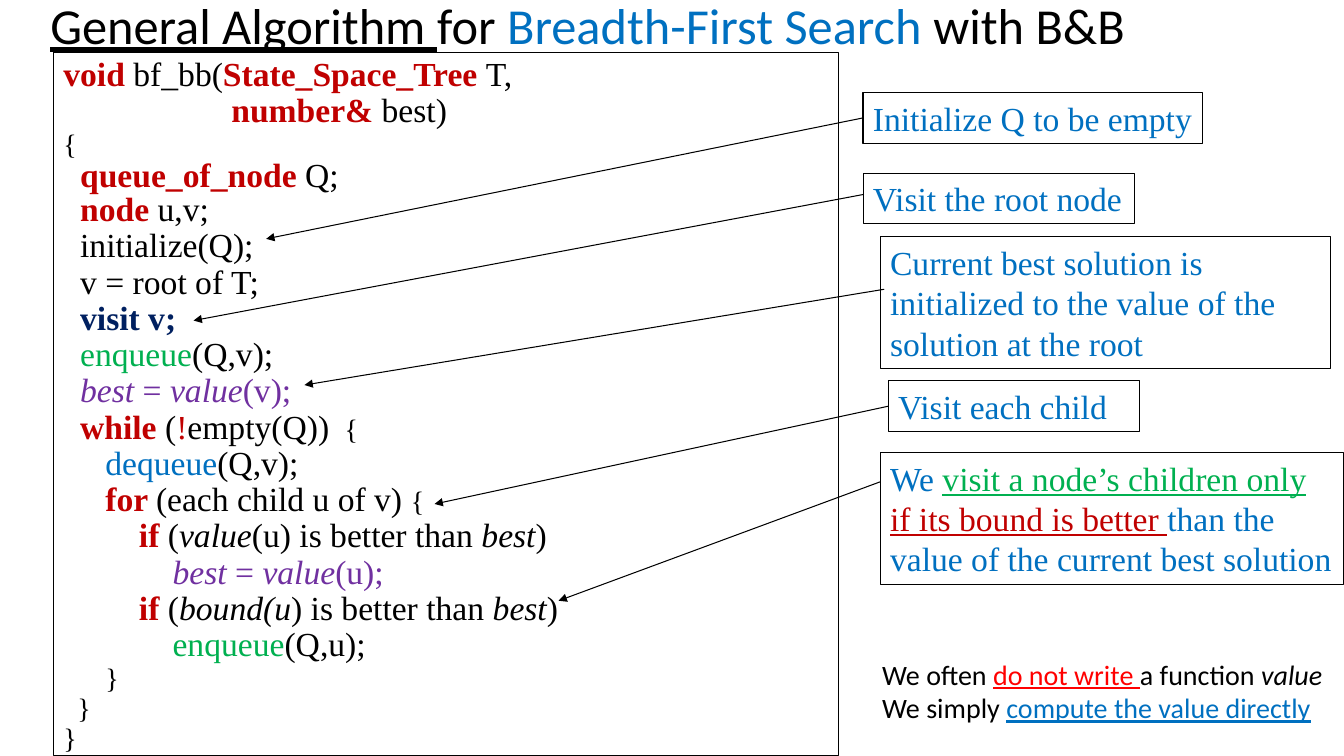
import pptx
import pptx.util
import pptx.dml.color
import pptx.enum.shapes
import pptx.enum.text
import pptx.oxml
from dataclasses import dataclass, field
from lxml import etree

PX = 9144  # EMU per px, 100 px to the inch
SHAPES = pptx.enum.shapes.MSO_SHAPE
AUTO_SIZE = pptx.enum.text.MSO_AUTO_SIZE
ANCHOR = pptx.enum.text.MSO_ANCHOR


@dataclass(frozen=True)
class Theme:
    sans: str = "Calibri"
    serif: str = "Times New Roman"
    title: int = 36
    body: int = 24
    small: int = 20
    line: float = 0.75
    black: str = "000000"
    # style name: colour, then any of b(old), i(talic), u(nderline)
    styles: dict = field(default_factory=lambda: {
        "plain": ("000000", ""), "italic": ("000000", "i"), "under": ("000000", "u"),
        "key": ("C00000", "b"), "red": ("C00000", ""), "red under": ("C00000", "u"),
        "navy": ("002060", "b"), "green": ("00B050", ""), "green under": ("00B050", "u"),
        "blue": ("0070C0", ""), "blue under": ("0070C0", "u"),
        "purple": ("7030A0", ""), "purple italic": ("7030A0", "i"),
        "alert": ("FF0000", "u"),
    })


THEME = Theme()

# Each code line: indent in points, then (text, style) spans
CODE = [
    (0, ("void ", "key"), ("bf_bb(", "plain"), ("State_Space_Tree ", "key"), ("T,", "plain")),
    (120, ("number& ", "key"), ("best)", "plain")),
    (0, ("{", "plain", THEME.small)),
    (12, ("queue_of_node ", "key"), ("Q;", "plain")),
    (12, ("node ", "key"), ("u,v;", "plain")),
    (12, ("initialize(Q);", "plain")),
    (12, ("v = root of T;", "plain")),
    (12, ("visit v;", "navy")),
    (12, ("enqueue", "green"), ("(Q,v);", "plain")),
    (12, ("best", "purple italic"), (" = ", "purple"), ("value", "purple italic"),
     ("(v);", "purple")),
    (12, ("while ", "key"), ("(", "plain"), ("!", "red"), ("empty(Q)) ", "plain"),
     (" {", "plain", THEME.small)),
    (30, ("dequeue", "blue"), ("(Q,v);", "plain")),
    (30, ("for ", "key"), ("(each child u of v) ", "plain"), ("{", "plain", THEME.small)),
    (54, ("if", "key"), (" (", "plain"), ("value", "italic"), ("(u) is better than ", "plain"),
     ("best", "italic"), (")", "plain")),
    (78, ("best", "purple italic"), (" = ", "purple"), ("value", "purple italic"),
     ("(u);", "purple")),
    (54, ("if ", "key"), ("(", "plain"), ("bound(u", "italic"), (") is better than ", "plain"),
     ("best", "italic"), (")", "plain")),
    (78, ("enqueue", "green"), ("(Q,u);", "plain")),
    (30, ("}", "plain", THEME.small)),
    (10, ("}", "plain", THEME.small)),
    (0, ("}", "plain", THEME.small)),
]
TIGHT_LINES = (3, 4)  # the two declarations are set closer

# Each note: box, wraps, arrow start (None joins the middle of the left side), arrow end, spans
NOTES = [
    ((856, 92, 337, 50), False, None, (264, 237), [("Initialize Q to be empty", "blue")]),
    ((856, 172, 269, 50), False, (856, 193), (192, 318), [("Visit the root node", "blue")]),
    ((881, 378, 249, 50), True, None, (431, 500), [("Visit each child", "blue")]),
    ((873, 449, 460, 131), True, (873, 478), (554, 596),
     [("We ", "blue"), ("visit a node’s children only ", "green under"),
      ("if its bound is better ", "red under"),
      ("than the value of the current best solution", "blue")]),
    ((873, 235, 447, 131), True, (877, 287), (302, 382),
     [("Current best solution is initialized to the value of the solution at the root", "blue")]),
]


def scale(*lengths):
    return [length * PX for length in lengths]


def color(code):
    return pptx.dml.color.RGBColor.from_string(code)


def add_spans(para, spans, font, size):
    for text, style, *own_size in spans:
        code, flags = THEME.styles[style]
        span = para.add_run()
        span.text = text
        span.font.name = font
        span.font.size = pptx.util.Pt(own_size[0] if own_size else size)
        span.font.color.rgb = color(code)
        span.font.bold = "b" in flags
        span.font.italic = "i" in flags
        span.font.underline = "u" in flags


def add_paragraphs(frame, lines, font, size):
    """Fill the frame with one left-aligned paragraph per line and return them."""
    paras = []
    for number, spans in enumerate(lines):
        para = frame.add_paragraph() if number else frame.paragraphs[0]
        para.alignment = pptx.enum.text.PP_ALIGN.LEFT
        add_spans(para, spans, font, size)
        paras.append(para)
    return paras


def add_label(page, place, lines, size):
    box = page.shapes.add_textbox(*scale(*place))
    box.text_frame.word_wrap = True
    return box.text_frame, add_paragraphs(box.text_frame, lines, THEME.sans, size)


def add_frame(page, place):
    box = page.shapes.add_shape(SHAPES.RECTANGLE, *scale(*place))
    box.shadow.inherit = False
    box.fill.background()
    box.line.color.rgb = color(THEME.black)
    box.line.width = pptx.util.Pt(THEME.line)
    box.text_frame.vertical_anchor = ANCHOR.TOP
    return box


def add_code(page, place):
    box = add_frame(page, place)
    box.text_frame.word_wrap = True
    paras = add_paragraphs(box.text_frame, [spans for _, *spans in CODE],
                           THEME.serif, THEME.body)
    for number, (para, (indent, *_)) in enumerate(zip(paras, CODE)):
        para.line_spacing = 0.85 if number in TIGHT_LINES else 0.9
        para._p.get_or_add_pPr().set("marL", str(pptx.util.Pt(indent)))


def add_note(page, place, wraps, spans):
    box = add_frame(page, place)
    box.text_frame.word_wrap = wraps
    box.text_frame.auto_size = AUTO_SIZE.SHAPE_TO_FIT_TEXT
    add_paragraphs(box.text_frame, [spans], THEME.serif, THEME.body)
    return box


def add_arrow(page, note, start, end):
    begin = scale(*start) if start else (note.left, note.top + note.height // 2)
    arrow = page.shapes.add_connector(pptx.enum.shapes.MSO_CONNECTOR.STRAIGHT,
                                      *begin, *scale(*end))
    if start is None:
        arrow.begin_connect(note, 1)
    arrow.line.color.rgb = color(THEME.black)
    arrow.line.width = pptx.util.Pt(THEME.line)
    head = etree.SubElement(arrow.line._get_or_add_ln(), pptx.oxml.ns.qn("a:tailEnd"))
    head.set("type", "triangle")
    etree.SubElement(arrow._element.spPr, pptx.oxml.ns.qn("a:effectLst"))


def main():
    deck = pptx.Presentation()
    deck.slide_width, deck.slide_height = scale(1333, 750)
    page = deck.slides.add_slide(deck.slide_layouts[6])

    # Title
    frame, paras = add_label(page, (40, -10, 1129, 75), [[
        ("General Algorithm ", "under"), ("for ", "plain"),
        ("Breadth-First Search ", "blue"), ("with B&B", "plain")]], THEME.title)
    frame.vertical_anchor = ANCHOR.MIDDLE
    paras[0].line_spacing = 0.9

    # Algorithm listing
    add_code(page, (53, 52, 779, 698))

    # Notes with arrows into the listing
    for place, wraps, start, end, spans in NOTES:
        note = add_note(page, place, wraps, spans)
        add_arrow(page, note, start, end)

    # Closing remark
    frame, _ = add_label(page, (865, 647, 464, 77), [
        [("We often ", "plain"), ("do not write ", "alert"), ("a function ", "plain"),
         ("value", "italic")],
        [("We simply ", "plain"), ("compute the value directly", "blue under")]], THEME.small)
    frame.auto_size = AUTO_SIZE.SHAPE_TO_FIT_TEXT

    deck.save("out.pptx")


if __name__ == "__main__":
    main()
